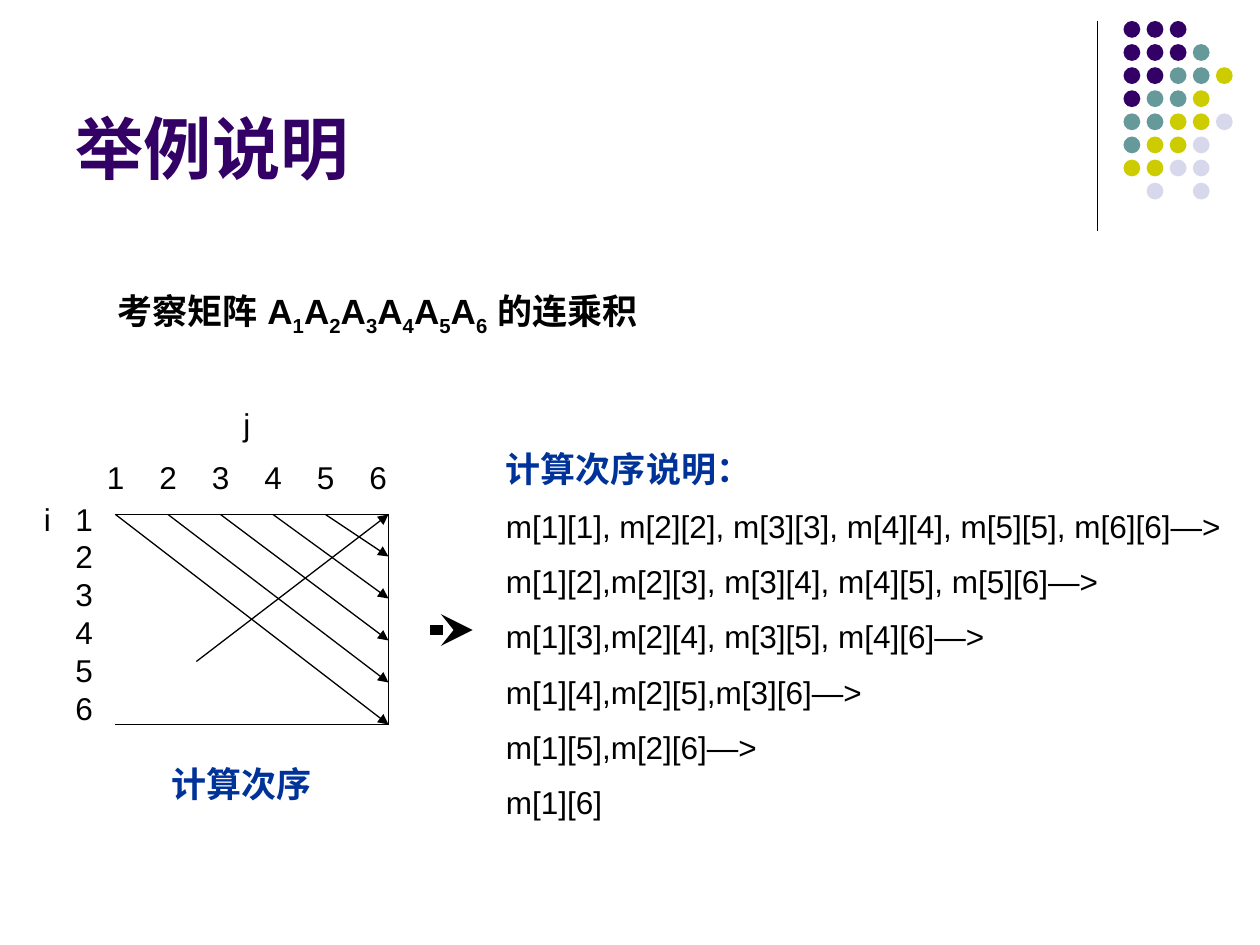
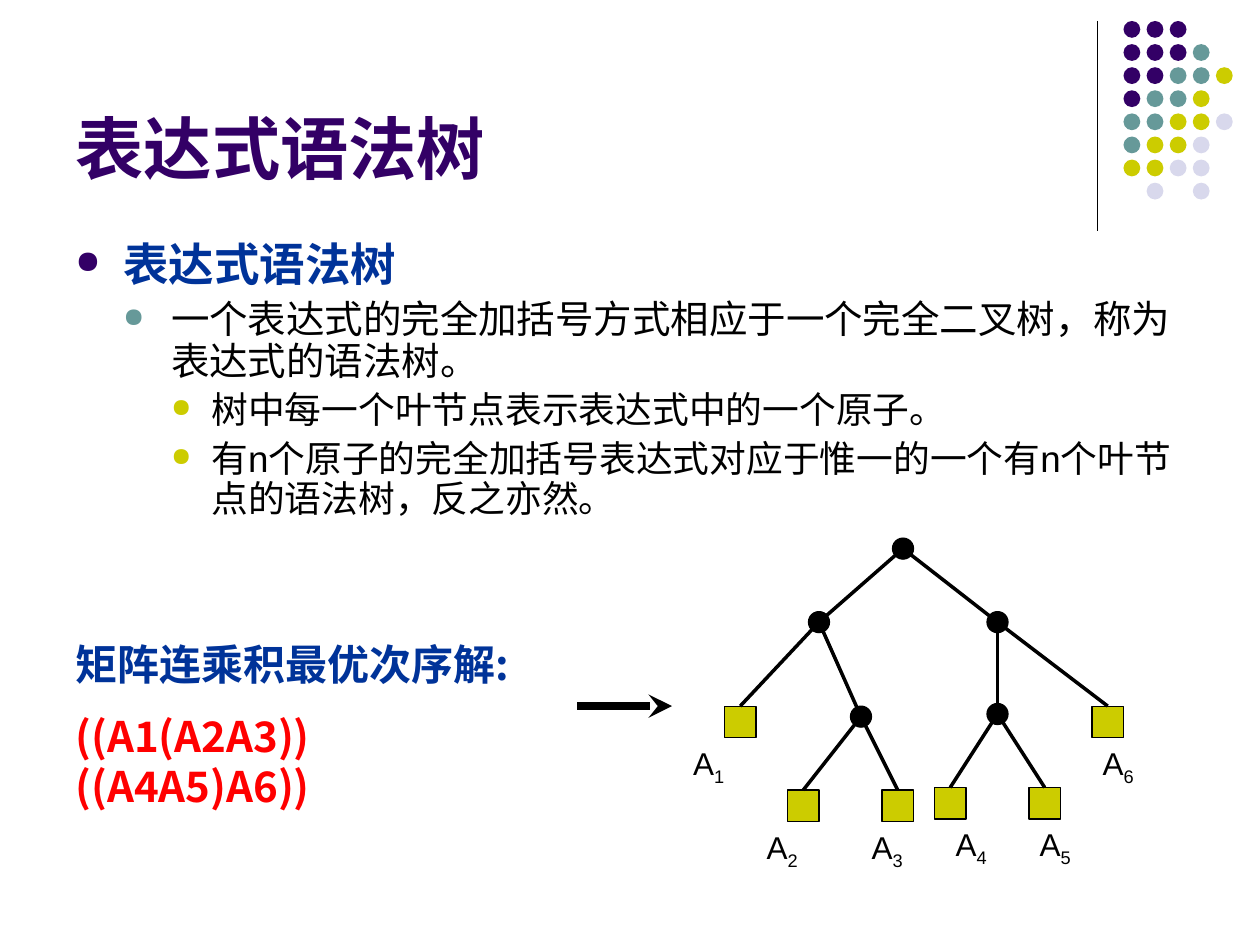
from lxml import etree
from pptx import Presentation
from pptx import util as u
from pptx.dml.color import RGBColor
from pptx.enum import shapes, text
from pptx.oxml.ns import qn

PURPLE = RGBColor(0x33, 0x00, 0x66)
TEAL = RGBColor(0x66, 0x99, 0x99)
OLIVE = RGBColor(0xCC, 0xCC, 0x00)
LILAC = RGBColor(0xD8, 0xD8, 0xEC)
BLUE = RGBColor(0x00, 0x33, 0x99)
RED = RGBColor(0xFF, 0x00, 0x00)
BLACK = RGBColor(0x00, 0x00, 0x00)

LATIN, HAN = "Arial", "Noto Sans CJK SC"
LEFT, CENTER = text.PP_ALIGN.LEFT, text.PP_ALIGN.CENTER
OVAL, SQUARE = shapes.MSO_SHAPE.OVAL, shapes.MSO_SHAPE.RECTANGLE

# The slide is a grid of 120 columns by 90 rows
prs = Presentation()
prs.slide_width, prs.slide_height = u.Inches(10), u.Inches(7.5)
CELL = prs.slide_width // 120


def write(frame, lines, align=LEFT, before=10):
    """Fill a frame with (text, size, colour, bold) lines; "_" lowers the next character."""
    frame.word_wrap = True
    for index, (words, size, color, bold) in enumerate(lines):
        paragraph = frame.paragraphs[0] if index == 0 else frame.add_paragraph()
        paragraph.alignment = align
        paragraph.space_before = u.Pt(before)
        first, *lowered = words.split("_")
        paragraph.text = first
        for piece in lowered:
            subscript = paragraph.add_run()
            subscript.text = piece[0]
            subscript.font._element.set("baseline", "-25000")
            if piece[1:]:
                paragraph.add_run().text = piece[1:]
        for run in paragraph.runs:
            run.font.size, run.font.bold, run.font.name = u.Pt(size), bold, LATIN
            run.font.color.rgb = color
            etree.SubElement(run.font._element, qn("a:ea")).set("typeface", LATIN)
    return frame


def draw_line(slide, start, end, width=0.75, head=None):
    """Draw a black line between two grid points."""
    ends = [int(n * CELL) for n in (*start, *end)]
    line = slide.shapes.add_connector(shapes.MSO_CONNECTOR.STRAIGHT, *ends)
    line.line.color.rgb, line.line.width = BLACK, u.Pt(width)
    if head:
        etree.SubElement(line.line._get_or_add_ln(), qn("a:tailEnd")).set("type", head)
    etree.SubElement(line._element.spPr, qn("a:effectLst"))
    return line


# Shared title, rule and dot pattern
DOT_COLORS = {"P": PURPLE, "T": TEAL, "O": OLIVE, "L": LILAC}
DOT_ROWS = ["PPP", "PPPT", "PPTTO", "PTTO", "TTOOL", "TOOL", "OOLL", " L L"]
DOT_PITCH = 2.2

for heading in ("举例说明", "表达式语法树"):
    slide = prs.slides.add_slide(prs.slide_layouts[5])
    title = slide.shapes.title
    title.left, title.top, title.width, title.height = (
        int(n * CELL) for n in (6, 1.5, 99, 17))
    write(title.text_frame, [(heading, 39, PURPLE, True)], before=0)
    title.text_frame.vertical_anchor = text.MSO_ANCHOR.BOTTOM
    title.text_frame.auto_size = text.MSO_AUTO_SIZE.NONE

    draw_line(slide, (104.5, 2), (104.5, 22))
    for row, pattern in enumerate(DOT_ROWS):
        for column, key in enumerate(pattern):
            if key == " ":
                continue
            place = (107 + column * DOT_PITCH, 2 + row * DOT_PITCH, 1.6, 1.6)
            dot = slide.shapes.add_shape(OVAL, *(int(n * CELL) for n in place))
            dot.fill.solid()
            dot.fill.fore_color.rgb = DOT_COLORS[key]
            dot.line.fill.background()
            dot.shadow.inherit = False

example, syntax_tree = prs.slides

# Example: captions and the explanation of the order
steps = [
    "m[1][1], m[2][2], m[3][3], m[4][4], m[5][5], m[6][6]—>",
    "m[1][2],m[2][3], m[3][4], m[4][5], m[5][6]—>",
    "m[1][3],m[2][4], m[3][5], m[4][6]—>",
    "m[1][4],m[2][5],m[3][6]—>",
    "m[1][5],m[2][6]—>",
    "m[1][6]",
]
captions = [
    ((10, 27, 65, 5.2),
     [("考察矩阵 A_1A_2A_3A_4A_5A_6 的连乘积", 20, BLACK, True)], LEFT),
    ((15, 72, 16, 5.2), [("计算次序", 20, BLUE, True)], CENTER),
    ((3, 47, 3, 4.8), [("i", 18, BLACK, False)], LEFT),
    ((22, 38, 3, 4.8), [("j", 18, BLACK, False)], LEFT),
    ((47, 42, 71, 37.7),
     [("计算次序说明：", 20, BLUE, True)]
     + [(step, 18, BLACK, False) for step in steps], LEFT),
]
for place, lines, align in captions:
    box = example.shapes.add_textbox(*(int(n * CELL) for n in place))
    write(box.text_frame, lines, align)

# Row numbers wrap one to a line, column numbers stand on tab stops
rows_box = example.shapes.add_textbox(*(int(n * CELL) for n in (6, 47, 4, 22.8)))
row_numbers = write(rows_box.text_frame, [("123456", 18, BLACK, False)])
row_numbers.paragraphs[0].line_spacing = u.Pt(21.6)

columns_box = example.shapes.add_textbox(*(int(n * CELL) for n in (9, 43, 32, 4.8)))
column_numbers = write(columns_box.text_frame, [("1\t2\t3\t4\t5\t6", 18, BLACK, False)])
tabs = etree.SubElement(column_numbers.paragraphs[0]._p.get_or_add_pPr(), qn("a:tabLst"))
for stop in range(1, 6):
    tab = etree.SubElement(tabs, qn("a:tab"))
    tab.set("pos", str(stop * 5 * CELL))
    tab.set("algn", "l")

# Matrix outline, its diagonals and the direction of the computation
LEFT_EDGE, RIGHT_EDGE, TOP_EDGE, BOTTOM_EDGE = 11, 37, 49, 69
top_right, bottom_right = (RIGHT_EDGE, TOP_EDGE), (RIGHT_EDGE, BOTTOM_EDGE)
draw_line(example, (LEFT_EDGE, TOP_EDGE), top_right)
draw_line(example, (LEFT_EDGE, BOTTOM_EDGE), bottom_right)
draw_line(example, top_right, bottom_right)
for k in range(5):
    draw_line(example, (LEFT_EDGE + 5 * k, TOP_EDGE),
              (RIGHT_EDGE, BOTTOM_EDGE - 4 * k), head="triangle")
draw_line(example, (18.7, 63), top_right, head="triangle")
draw_line(example, (41, 60), (45, 60), width=6, head="stealth")

# Syntax tree: definition as a bulleted outline
definition = [  # level, text, size, colour, bold
    (0, "表达式语法树", 26, BLUE, True),
    (1, "一个表达式的完全加括号方式相应于一个完全二叉树，称为表达式的语法树。", 22, BLACK, False),
    (2, "树中每一个叶节点表示表达式中的一个原子。", 21, BLACK, False),
    (2, "有n个原子的完全加括号表达式对应于惟一的一个有n个叶节点的语法树，反之亦然。", 21, BLACK, False),
]
BULLETS = [(0.38, 0.38, PURPLE), (0.76, 0.38, TEAL), (1.08, 0.32, OLIVE)]
outline_box = syntax_tree.shapes.add_textbox(*(int(n * CELL) for n in (6, 22.5, 108, 28.5)))
outline = write(outline_box.text_frame, [entry[1:] for entry in definition], before=5)
for paragraph, (level, *_) in zip(outline.paragraphs, definition):
    margin, hanging, color = BULLETS[level]
    paragraph.level = level
    paragraph.line_spacing = 0.9
    props = paragraph._p.get_or_add_pPr()
    props.set("marL", str(u.Inches(margin)))
    props.set("indent", str(-u.Inches(hanging)))
    bullet_color = etree.SubElement(props, qn("a:buClr"))
    etree.SubElement(bullet_color, qn("a:srgbClr")).set("val", str(color))
    etree.SubElement(props, qn("a:buSzPct")).set("val", "70000")
    etree.SubElement(props, qn("a:buChar")).set("char", "●")

# Best order, with an arrow to its tree
solution_box = syntax_tree.shapes.add_textbox(*(int(n * CELL) for n in (6, 60.25, 47, 13.2)))
solution = write(solution_box.text_frame, [
    ("矩阵连乘积最优次序解", 24, BLUE, True),
    ("((A1(A2A3))((A4A5)A6))", 24, RED, True),
], before=12)
solution.margin_right = u.Inches(0.25)
colon = solution.paragraphs[0].add_run()
colon.text = ":"
colon.font.size, colon.font.bold, colon.font.color.rgb = u.Pt(24), True, BLUE
colon.font.name = solution.paragraphs[1].runs[0].font.name = HAN
for paragraph in solution.paragraphs:
    paragraph.line_spacing = u.Pt(28.8)
draw_line(syntax_tree, (55, 67.25), (64, 67.25), width=4.5, head="stealth")

# Tree nodes: centre column and row of each inner node, left and top of each leaf
inner = {"root": (86, 52.25), "left": (78, 59.25), "right": (95, 59.25),
         "A2A3": (82, 68.25), "A4A5": (95, 68)}
leaves = {"A_1": (69, 67.25), "A_2": (75, 75.25), "A_3": (84, 75.25),
          "A_4": (89, 75), "A_5": (98, 75), "A_6": (104, 67.25)}
label_columns = {"A_1": 64, "A_2": 71, "A_3": 81, "A_4": 89, "A_5": 97, "A_6": 103}
node_places = {name: (OVAL, x - 1, y - 1, 2, BLACK) for name, (x, y) in inner.items()}
node_places.update({name: (SQUARE, x, y, 3, OLIVE) for name, (x, y) in leaves.items()})

nodes = {}
for name, (outline_kind, x, y, size, color) in node_places.items():
    node = syntax_tree.shapes.add_shape(
        outline_kind, *(int(n * CELL) for n in (x, y, size, size)))
    node.fill.solid()
    node.fill.fore_color.rgb = color
    node.line.color.rgb, node.line.width = BLACK, u.Pt(0.75)
    node.shadow.inherit = False
    nodes[name] = node

# Branches run from the parent's centre to an inner node's centre or a leaf's top
children = {"root": ("left", "right"), "left": ("A_1", "A2A3"), "right": ("A4A5", "A_6"),
            "A2A3": ("A_2", "A_3"), "A4A5": ("A_4", "A_5")}
for parent, pair in children.items():
    for child in pair:
        branch = draw_line(syntax_tree, inner[parent], inner.get(child, inner[parent]), width=2)
        if child in leaves:
            branch.end_connect(nodes[child], 0)

# Leaf labels
for name, column in label_columns.items():
    place = (column, leaves[name][1] + 3, 7, 4.8)
    label = syntax_tree.shapes.add_textbox(*(int(n * CELL) for n in place))
    write(label.text_frame, [(name, 18, BLACK, False)], CENTER)

prs.save("out.pptx")
